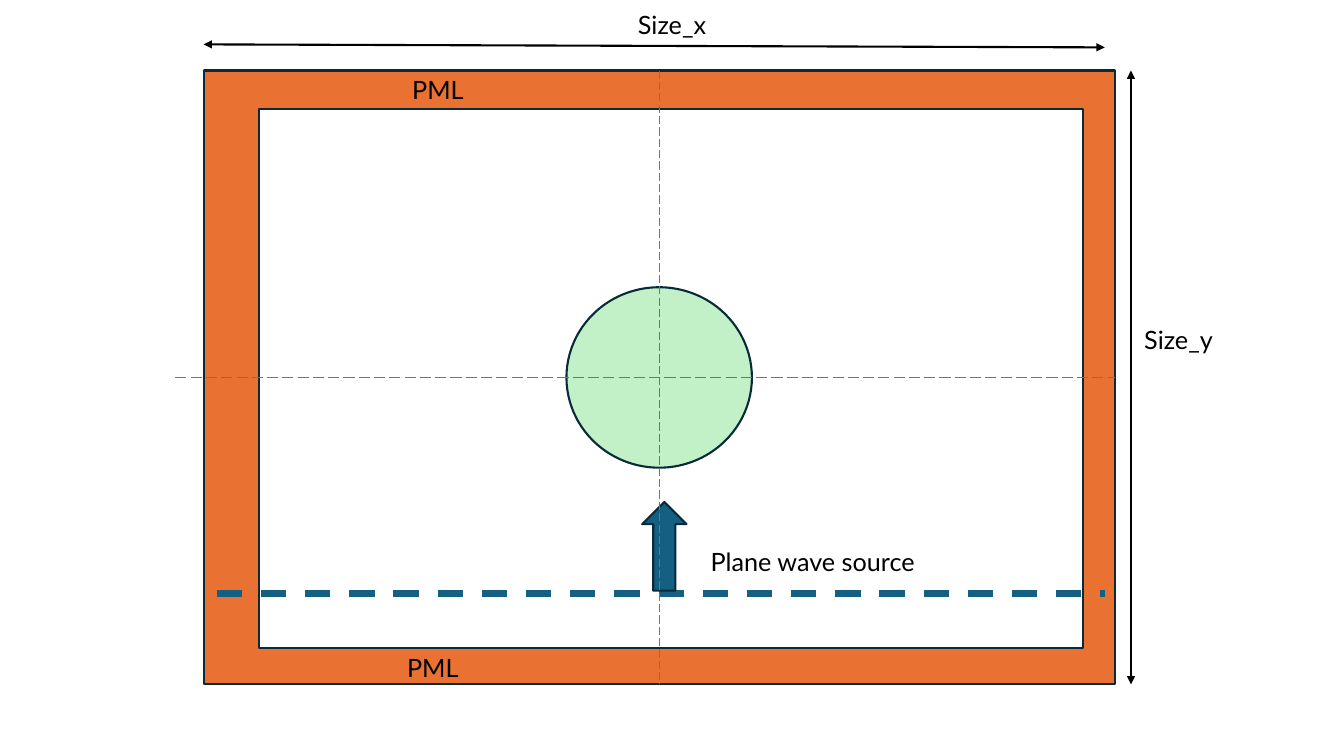
from lxml import etree
from pptx import Presentation, util as u
from pptx.dml.color import RGBColor
from pptx.enum import dml, shapes, text
from pptx.oxml.ns import qn

BLACK = RGBColor(0x00, 0x00, 0x00)
WHITE = RGBColor(0xFF, 0xFF, 0xFF)
ORANGE = RGBColor(0xE9, 0x71, 0x32)
GREEN = RGBColor(0xC2, 0xF1, 0xC8)
BLUE = RGBColor(0x15, 0x60, 0x82)
NAVY = RGBColor(0x09, 0x2A, 0x39)
GREY = RGBColor(0x74, 0x74, 0x74)

deck = Presentation()
deck.slide_width, deck.slide_height = u.Inches(13.33), u.Inches(7.5)
slide = deck.slides.add_slide(deck.slide_layouts[6])


def share(*percents):
    """Turn alternating x and y percentages of the slide into lengths."""
    sides = (deck.slide_width, deck.slide_height)
    return [round(sides[i % 2] * p / 100) for i, p in enumerate(percents)]


def label(words, left, top, width=8.4, height=5.33, size=18, font="Lato", color=BLACK):
    frame = slide.shapes.add_textbox(*share(left, top, width, height)).text_frame
    frame.word_wrap = True
    frame.auto_size = text.MSO_AUTO_SIZE.SHAPE_TO_FIT_TEXT
    run = frame.paragraphs[0].add_run()
    run.text = words
    run.font.size, run.font.name = u.Pt(size), font
    run.font.color.rgb = color


# Simulation cell, in percent of the slide
left, top, width, height = 15.15, 9.33, 67.8, 81.2
right, bottom = left + width, top + height
center_x, center_y = left + width / 2, top + height / 2
circle_width, circle_height = 13.8, 23.87
source_y = 78.53

# Absorbing layer, inner region, scatterer and propagation direction
kinds = shapes.MSO_SHAPE
regions = [
    (kinds.RECTANGLE, ORANGE, (left, top, width, height)),
    (kinds.RECTANGLE, WHITE, (19.28, 14.4, 61.28, 71.33)),
    (kinds.OVAL, GREEN, (center_x - circle_width / 2, center_y - circle_height / 2,
                         circle_width, circle_height)),
    (kinds.UP_ARROW, BLUE, (47.78, 66.4, 3.3, 11.73)),
]

# Each line: ends, colour, weight, dash, arrowheads
dashes = dml.MSO_LINE
source = ((16.13, source_y, 82.2, source_y), BLUE, 4.5, dashes.DASH, False)
guides = [
    ((82.2, 6.27, left, 5.87), BLACK, 1.5, None, True),
    ((84.15, bottom, 84.15, top), BLACK, 1.5, None, True),
    ((13.05, center_y, right, center_y), GREY, 1, dashes.LONG_DASH, False),
    ((center_x, top, center_x, bottom), GREY, 0.75, dashes.LONG_DASH, False),
]

# The source line lies beneath the arrow, the guides above every region
for part in regions[:3] + [source] + regions[3:] + guides:
    if part in regions:
        kind, fill, box = part
        region = slide.shapes.add_shape(kind, *share(*box))
        region.shadow.inherit = False
        region.fill.solid()
        region.fill.fore_color.rgb = fill
        region.line.color.rgb, region.line.width = NAVY, u.Pt(1.5)
        continue
    ends, color, weight, dash, arrows = part
    line = slide.shapes.add_connector(shapes.MSO_CONNECTOR.STRAIGHT, *share(*ends))
    line.line.color.rgb, line.line.width = color, u.Pt(weight)
    if dash:
        line.line.dash_style = dash
    if arrows:
        for end in ("a:headEnd", "a:tailEnd"):
            etree.SubElement(line.line._get_or_add_ln(), qn(end), type="triangle")
    etree.SubElement(line._element.spPr, qn("a:effectLst"))

label("Size_x", 46.73, 0.53)
label("Size_y", 84.4, 42.27)
label("Plane wave source", 52.13, 71.6, width=19.13)
label("PML", 29.93, 9.2)
label("PML", 29.55, 85.6)

deck.save("out.pptx")
